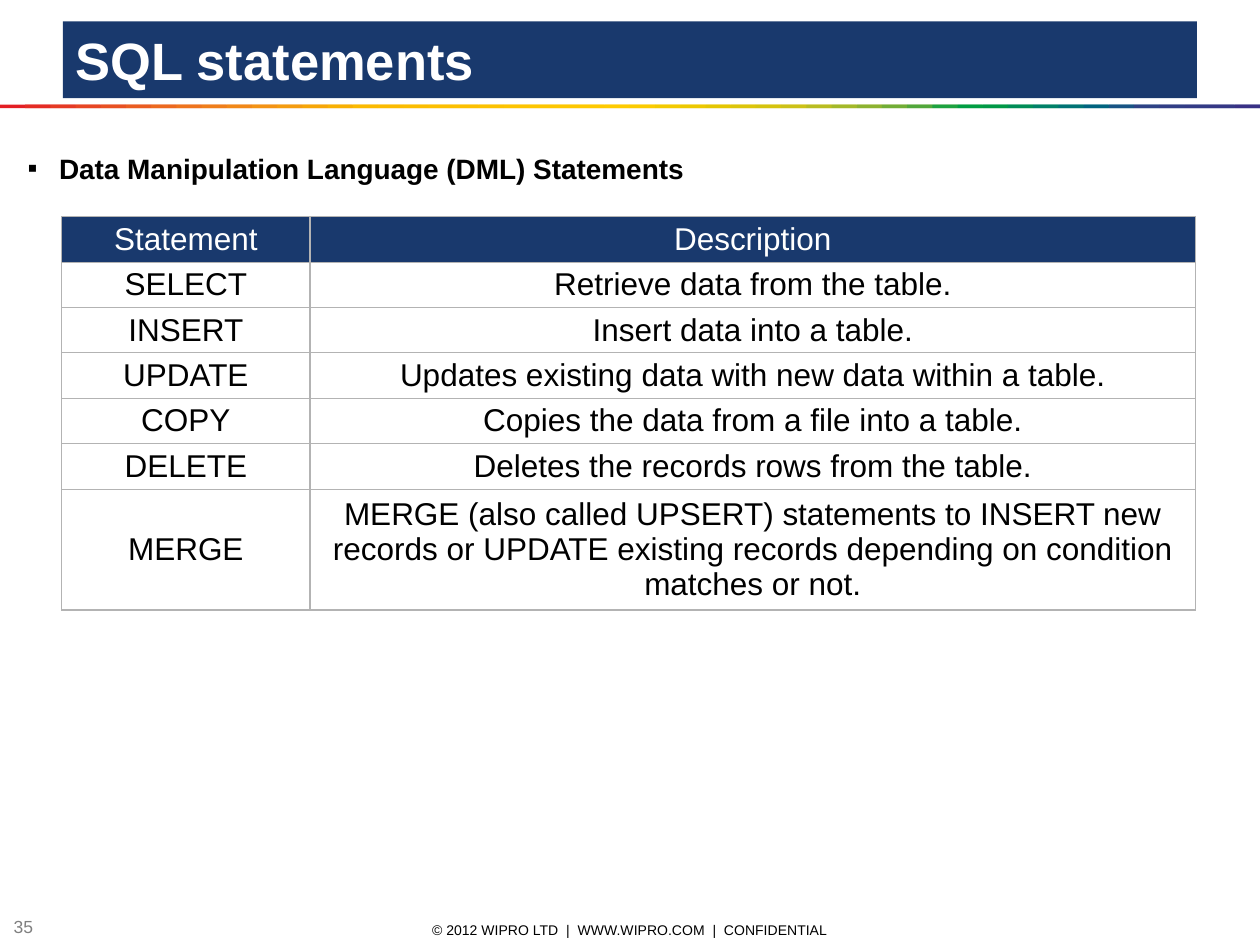
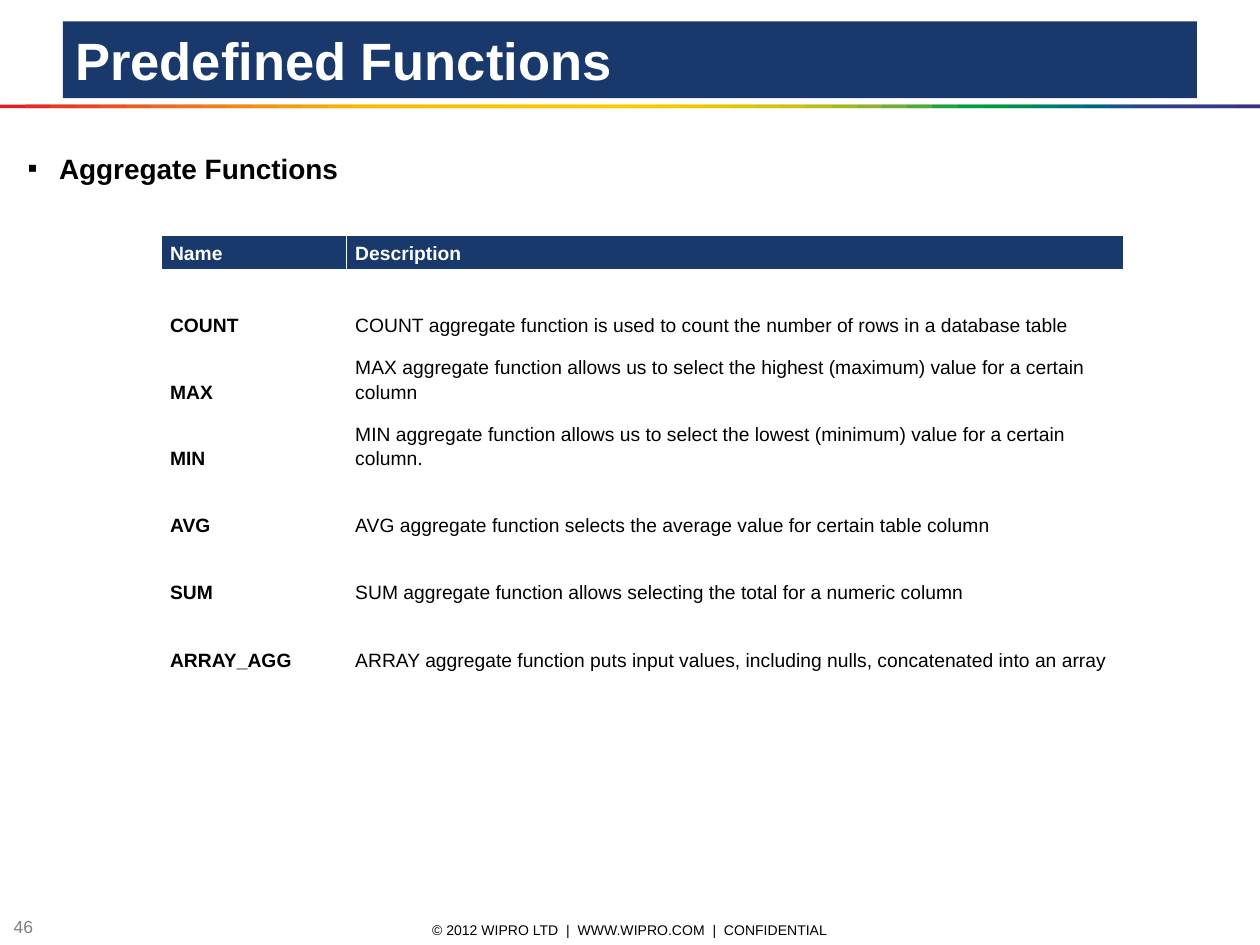
"""Build two SQL training slides with a shared title band, rainbow rule and footer."""
from dataclasses import dataclass

from pptx import Presentation
from pptx.dml.color import RGBColor
from pptx.enum.shapes import MSO_SHAPE
from pptx.enum.text import MSO_ANCHOR, MSO_AUTO_SIZE, PP_ALIGN
from pptx.oxml.ns import qn
from pptx.util import Inches, Pt
from lxml.etree import SubElement


@dataclass(frozen=True)
class Theme:
    font: str = "Arial"
    navy: str = "19396D"
    white: str = "FFFFFF"
    black: str = "000000"
    gray: str = "808080"
    grid: str = "B3B3B3"
    title: int = 30
    heading: int = 16
    number: int = 10
    footer: int = 8
    rainbow: tuple = tuple(
        "E31E24 E42C24 E53A24 E74623 E85122 EA5D21 EC691F EE741D EF7E1A F18817 "
        "F39314 F49C0F F6A607 F8B002 FBBA00 FBBB00 FBBD00 FCBF00 FCC000 FCC200 "
        "FDC400 FDC600 FDC700 FEC900 FECB00 FBCB00 F3CA00 ECC800 E4C602 DCC50A "
        "D5C30E CCC117 B8BC21 A3B829 8CB230 71AD36 51A73B 1DA240 009D43 009846 "
        "008C57 008068 007275 00637F 185384 2E4285 313E85 333B85 353885 393185".split())


@dataclass(frozen=True)
class TableStyle:
    size: int
    border: str
    header_border: float
    body_border: float
    inset_x: float
    inset_y: float
    align: PP_ALIGN
    body_anchor: MSO_ANCHOR
    bold_labels: bool
    line_spacing: float


THEME = Theme()
SLIDE_WIDTH = 10
FOOTER = "© 2012 WIPRO LTD  |  WWW.WIPRO.COM  |  CONFIDENTIAL"

GRID_TABLE = TableStyle(18, THEME.grid, 0.75, 0.75, 0.03, 0.03, PP_ALIGN.CENTER,
                        MSO_ANCHOR.MIDDLE, False, 1.0)
PLAIN_TABLE = TableStyle(11, THEME.white, 1, 0, 0.07, 0, PP_ALIGN.LEFT,
                         MSO_ANCHOR.BOTTOM, True, 1.15)

DML_ROWS = [
    ("Statement", "Description"),
    ("SELECT", "Retrieve data from the table."),
    ("INSERT", "Insert data into a table."),
    ("UPDATE", "Updates existing data with new data within a table."),
    ("COPY", "Copies the data from a file into a table."),
    ("DELETE", "Deletes the records rows from the table."),
    ("MERGE", "MERGE (also called UPSERT) statements to INSERT new records or UPDATE "
              "existing records depending on condition matches or not."),
]
AGGREGATE_ROWS = [
    ("Name", "Description"),
    ("COUNT", "COUNT aggregate function is used to count the number of rows in a database table"),
    ("MAX", "MAX aggregate function allows us to select the highest (maximum) value "
            "for a certain column"),
    ("MIN", "MIN aggregate function allows us to select the lowest (minimum) value "
            "for a certain column."),
    ("AVG", "AVG aggregate function selects the average value for certain table column"),
    ("SUM", "SUM aggregate function allows selecting the total for a numeric column"),
    ("ARRAY_AGG", "ARRAY aggregate function puts input values, including nulls, "
                  "concatenated into an array"),
]


def add_run(p, text, size, color, bold=False):
    """Append one formatted run to a paragraph."""
    r = p.add_run()
    r.text = text
    r.font.name = THEME.font
    r.font.size = Pt(size)
    r.font.bold = bold
    r.font.color.rgb = RGBColor.from_string(color)


def add_text(slide, box, text, size, color, bold=False, align=PP_ALIGN.LEFT,
             anchor=MSO_ANCHOR.MIDDLE):
    """Add a wrapping one-paragraph text box and return its paragraph."""
    tf = slide.shapes.add_textbox(*map(Inches, box)).text_frame
    tf.word_wrap = True
    tf.vertical_anchor = anchor
    p = tf.paragraphs[0]
    p.alignment = align
    add_run(p, text, size, color, bold)
    return p


def add_rect(shapes, box, color):
    """Add a flat filled rectangle without outline."""
    sp = shapes.add_shape(MSO_SHAPE.RECTANGLE, *map(Inches, box))
    sp.shadow.inherit = False
    sp.fill.solid()
    sp.fill.fore_color.rgb = RGBColor.from_string(color)
    sp.line.fill.background()
    return sp


def add_rainbow(slide):
    """Draw the rule under the title as overlapping colour steps."""
    group = slide.shapes.add_group_shape()
    step = SLIDE_WIDTH / len(THEME.rainbow)
    for i, color in enumerate(THEME.rainbow):
        left = i * step
        add_rect(group.shapes, (left, 0.83, min(2 * step, SLIDE_WIDTH - left), 0.03), color)


def add_title(slide, text):
    """Add the navy title band."""
    tf = add_rect(slide.shapes, (0.5, 0.17, 9, 0.61), THEME.navy).text_frame
    tf.word_wrap = True
    tf.auto_size = MSO_AUTO_SIZE.SHAPE_TO_FIT_TEXT
    tf.vertical_anchor = MSO_ANCHOR.TOP
    p = tf.paragraphs[0]
    p.alignment = PP_ALIGN.LEFT
    add_run(p, text, THEME.title, THEME.white, True)


def add_heading(slide, text):
    """Add the bulleted heading above the table."""
    p = add_text(slide, (0.12, 1.15, 9.68, 6.01), text, THEME.heading, THEME.black, True,
                 anchor=MSO_ANCHOR.TOP)
    pPr = p._p.get_or_add_pPr()
    pPr.set("marL", str(Inches(0.25)))
    pPr.set("indent", str(Inches(-0.25)))
    SubElement(pPr, qn("a:buFont"), typeface=THEME.font)
    SubElement(pPr, qn("a:buChar"), char="▪")


def set_borders(cell, color, width):
    """Set all four borders of a cell, or none when the width is zero."""
    tcPr = cell._tc.get_or_add_tcPr()
    for i, side in enumerate("LRTB"):
        ln = SubElement(tcPr, qn(f"a:ln{side}"), w=str(Pt(width)))
        if width:
            SubElement(SubElement(ln, qn("a:solidFill")), qn("a:srgbClr"), val=color)
        else:
            SubElement(ln, qn("a:noFill"))
        tcPr.insert(i, ln)


def fill_cell(cell, text, style, header, label):
    """Write and format one table cell."""
    cell.fill.solid()
    cell.fill.fore_color.rgb = RGBColor.from_string(THEME.navy if header else THEME.white)
    cell.margin_left = cell.margin_right = Inches(style.inset_x)
    cell.margin_top = cell.margin_bottom = Inches(style.inset_y)
    cell.vertical_anchor = MSO_ANCHOR.MIDDLE if header else style.body_anchor
    p = cell.text_frame.paragraphs[0]
    p.alignment = style.align
    p.line_spacing = style.line_spacing
    add_run(p, text, style.size, THEME.white if header else THEME.black,
            style.bold_labels and (header or label))
    set_borders(cell, style.border, style.header_border if header else style.body_border)


def add_table(slide, left, top, widths, heights, rows, style):
    """Add a table with a navy header row."""
    frame = slide.shapes.add_table(len(rows), len(widths), Inches(left), Inches(top),
                                   Inches(sum(widths)), Inches(sum(heights)))
    table = frame.table
    table.horz_banding = False
    for column, width in zip(table.columns, widths):
        column.width = Inches(width)
    for i, (height, texts) in enumerate(zip(heights, rows)):
        table.rows[i].height = Inches(height)
        for j, text in enumerate(texts):
            fill_cell(table.cell(i, j), text, style, i == 0, j == 0)


def add_slide(prs, number, title, heading):
    """Add a blank slide with the shared footer, rule, title and heading."""
    slide = prs.slides.add_slide(prs.slide_layouts[6])
    add_text(slide, (3.3, 7.28, 3.4, 0.2), FOOTER, THEME.footer, THEME.black,
             align=PP_ALIGN.CENTER)
    add_text(slide, (0.01, 7.27, 0.39, 0.16), number, THEME.number, THEME.gray)
    add_rainbow(slide)
    add_title(slide, title)
    add_heading(slide, heading)
    return slide


def main():
    """Build and save the presentation."""
    prs = Presentation()
    prs.slide_width, prs.slide_height = Inches(SLIDE_WIDTH), Inches(7.5)

    slide = add_slide(prs, "35", "SQL statements", "Data Manipulation Language (DML) Statements")
    add_table(slide, 0.49, 1.72, (1.97, 7.03), [0.36] * 6 + [0.96], DML_ROWS, GRID_TABLE)

    slide = add_slide(prs, "46", "Predefined Functions", "Aggregate Functions")
    add_table(slide, 1.28, 1.87, (1.47, 6.17), [0.27] + [0.53] * 5 + [0.54],
              AGGREGATE_ROWS, PLAIN_TABLE)

    prs.save("out.pptx")


if __name__ == "__main__":
    main()
